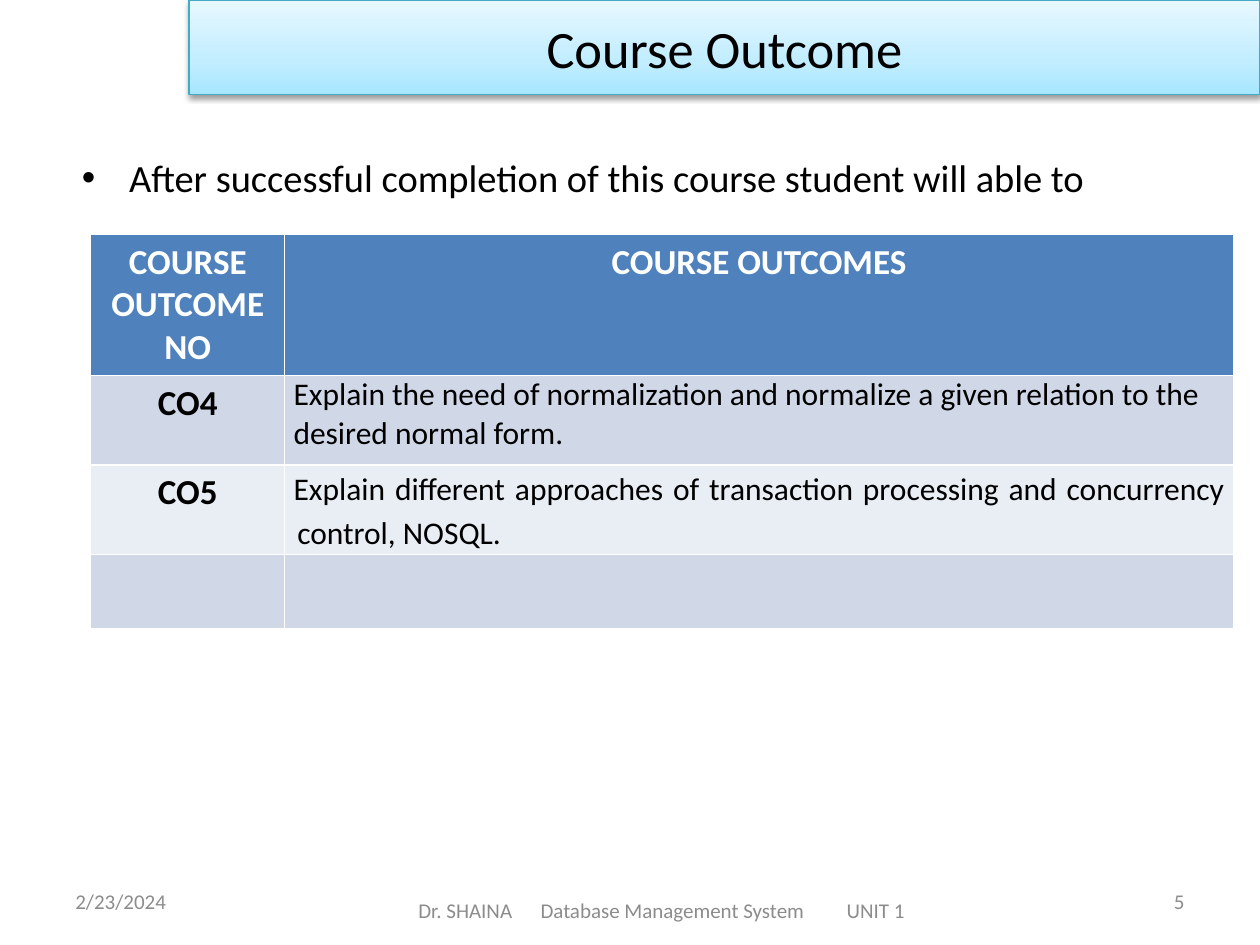
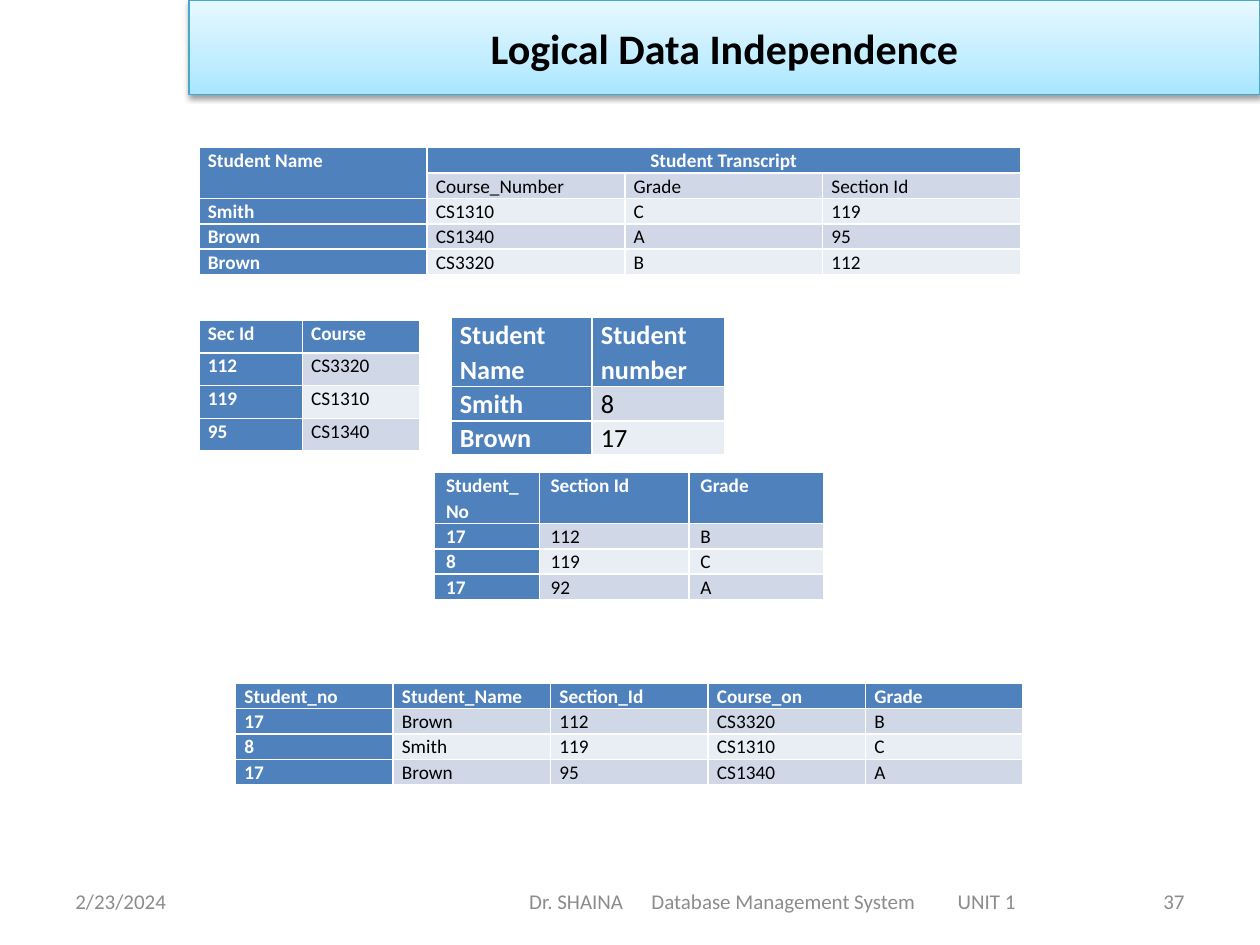
from dataclasses import dataclass

from lxml import etree
from pptx import Presentation
from pptx.dml.color import RGBColor
from pptx.enum import text
from pptx.oxml import parse_xml
from pptx.oxml.ns import nsdecls, qn
from pptx.util import Inches, Pt

ALIGN = text.PP_ALIGN


@dataclass(frozen=True)
class Theme:
    font: str = "Calibri"
    ink: str = "000000"
    white: str = "FFFFFF"
    muted: str = "8C8C8C"
    header: str = "4F81BD"
    bands: tuple = ("E9EDF4", "D0D8E8")
    title_stops: tuple = ((0, "A7E6FF"), (35, "C1EDFF"), (100, "E7F8FF"))
    title_line: str = "46AAC5"
    title_size: int = 30
    title_small: int = 24
    body_size: int = 22
    outcome_head: int = 20
    outcome_text: int = 18
    data_size: int = 11
    data_large: int = 15
    footer_size: int = 12


THEME = Theme()
TITLE_BOX = (1.5, 0, 8.5, 0.75)
FOOTER_PARTS = ("Dr. SHAINA", "Database Management System", "UNIT 1")
FOOTER_TABS = (0.97, 3.4)
FOOTER_TEXT_WIDTH = 3.86


def place(shape, box):
    shape.left, shape.top, shape.width, shape.height = map(Inches, box)


def format_runs(paragraph, size, color, bold=False):
    for span in paragraph.runs:
        span.font.name = THEME.font
        span.font.size = Pt(size)
        span.font.bold = bold
        span.font.color.rgb = RGBColor.from_string(color)


# Title band
def fill_title(page, wording, size, bold=False):
    title = page.shapes.title
    place(title, TITLE_BOX)
    title.line.color.rgb = RGBColor.from_string(THEME.title_line)
    title.line.width = Pt(0.75)
    stops = "".join(
        f'<a:gs pos="{position * 1000}"><a:srgbClr val="{color}"/></a:gs>'
        for position, color in THEME.title_stops)
    outline = title._element.spPr.find(qn("a:ln"))
    outline.addprevious(parse_xml(
        f'<a:gradFill {nsdecls("a")} rotWithShape="1"><a:gsLst>{stops}</a:gsLst>'
        '<a:lin ang="16200000" scaled="0"/></a:gradFill>'))
    outline.addnext(parse_xml(
        f'<a:effectLst {nsdecls("a")}><a:outerShdw blurRad="40000" dist="20000" '
        'dir="5400000" rotWithShape="0"><a:srgbClr val="000000">'
        '<a:alpha val="38000"/></a:srgbClr></a:outerShdw></a:effectLst>'))
    frame = title.text_frame
    frame.text = wording
    frame.auto_size = text.MSO_AUTO_SIZE.NONE
    frame.vertical_anchor = text.MSO_ANCHOR.MIDDLE
    frame.paragraphs[0].alignment = ALIGN.CENTER
    format_runs(frame.paragraphs[0], size, THEME.ink, bold)


# Footer: date, course line and page number
def add_footer_text(page, box, wording, alignment=ALIGN.LEFT):
    note = page.shapes.add_textbox(*map(Inches, box))
    frame = note.text_frame
    frame.word_wrap = True
    frame.vertical_anchor = text.MSO_ANCHOR.MIDDLE
    frame.text = wording
    frame.paragraphs[0].alignment = alignment
    format_runs(frame.paragraphs[0], THEME.footer_size, THEME.muted)
    return frame


def add_footer(page, number, course_box):
    add_footer_text(page, (0.5, 6.95, 2.33, 0.4), "2/23/2024")
    add_footer_text(page, (7.17, 6.95, 2.33, 0.4), number, ALIGN.RIGHT)
    course = add_footer_text(page, course_box, "\t".join(FOOTER_PARTS))
    course.margin_left = Inches((course_box[2] - FOOTER_TEXT_WIDTH) / 2)
    properties = course.paragraphs[0]._p.get_or_add_pPr()
    tabs = etree.SubElement(properties, qn("a:tabLst"))
    for position in FOOTER_TABS:
        etree.SubElement(tabs, qn("a:tab"), pos=str(Inches(position)), algn="l")


# Tables
def add_grid(page, corner, widths, heights, rows, first_column=True):
    """Add a banded table; None marks a cell covered by a merge."""
    frame = page.shapes.add_table(
        len(rows), len(widths), *map(Inches, (*corner, sum(widths), sum(heights))))
    table = frame.table
    table.first_col = first_column
    for column, width in zip(table.columns, widths):
        column.width = Inches(width)
    for row, height in zip(table.rows, heights):
        row.height = Inches(height)
    for row_index, values in enumerate(rows):
        for column_index, value in enumerate(values):
            cell = table.cell(row_index, column_index)
            is_header = row_index == 0 or (first_column and column_index == 0)
            color = THEME.header if is_header else THEME.bands[row_index % 2]
            cell.fill.solid()
            cell.fill.fore_color.rgb = RGBColor.from_string(color)
            if value:
                cell.text_frame.text = value
    return table


def tighten(cell, side=0.07):
    cell.margin_left = cell.margin_right = Inches(side)
    cell.margin_top = cell.margin_bottom = 0


def add_data_table(page, corner, widths, heights, rows, size=THEME.data_size, side=0.07):
    table = add_grid(page, corner, widths, heights, rows)
    for row_index, row in enumerate(table.rows):
        for column_index, cell in enumerate(row.cells):
            tighten(cell, side)
            paragraph = cell.text_frame.paragraphs[0]
            paragraph.line_spacing = 1.07
            paragraph.space_after = Pt(8)
            is_header = row_index == 0 or column_index == 0
            format_runs(paragraph, size, THEME.white if is_header else THEME.ink, is_header)
    return table


def add_outcome_table(page, corner):
    rows = (
        ("COURSE OUTCOME NO", "COURSE OUTCOMES"),
        ("CO4", "Explain the need of normalization and normalize a given relation "
                "to the desired normal form."),
        ("CO5", "Explain different approaches of transaction processing and "
                "concurrency control, NOSQL."),
        (None, None),
    )
    table = add_grid(page, corner, (1.54, 7.53), (1.11, 0.71, 0.71, 0.59), rows,
                     first_column=False)
    for row_index, row in enumerate(table.rows):
        for column_index, cell in enumerate(row.cells):
            paragraph = cell.text_frame.paragraphs[0]
            if row_index == 0 or column_index == 0:
                paragraph.alignment = ALIGN.CENTER
                color = THEME.ink if row_index else THEME.white
                format_runs(paragraph, THEME.outcome_head, color, True)
            elif rows[row_index][column_index]:
                tighten(cell)
                format_runs(paragraph, THEME.outcome_text, THEME.ink)
    # The last outcome is justified with a small hanging indent
    paragraph = table.cell(2, 1).text_frame.paragraphs[0]
    paragraph.alignment = ALIGN.JUSTIFY
    paragraph.line_spacing = 1.15
    properties = paragraph._p.get_or_add_pPr()
    properties.set("marL", str(Inches(0.03)))
    properties.set("indent", str(Inches(-0.3)))


# Slides
def build_outcome_page(deck):
    page = deck.slides.add_slide(deck.slide_layouts.get_by_name("Title and Content"))
    fill_title(page, "Course Outcome", THEME.title_size)
    body = page.placeholders[1]
    place(body, (0.55, 1.17, 9, 0.47))
    frame = body.text_frame
    frame.auto_size = text.MSO_AUTO_SIZE.NONE
    frame.text = "After successful completion of this course student will able to"
    frame.paragraphs[0].alignment = ALIGN.JUSTIFY
    format_runs(frame.paragraphs[0], THEME.body_size, THEME.ink)
    add_outcome_table(page, (0.72, 1.86))
    add_footer(page, "5", (2.5, 7.02, 5.5, 0.4))


def build_independence_page(deck):
    page = deck.slides.add_slide(deck.slide_layouts.get_by_name("Title Only"))
    fill_title(page, "Logical Data Independence", THEME.title_small, bold=True)

    # Transcript with a two-level heading
    transcript = add_data_table(page, (1.58, 1.17), (1.81,) + (1.57,) * 3, (0.2,) * 5, (
        ("Student Name", "Student Transcript", None, None),
        (None, "Course_Number", "Grade", "Section Id"),
        ("Smith", "CS1310", "C", "119"),
        ("Brown", "CS1340", "A", "95"),
        ("Brown", "CS3320", "B", "112"),
    ))
    transcript.cell(0, 0).merge(transcript.cell(1, 0))
    transcript.cell(0, 1).merge(transcript.cell(0, 3))
    transcript.cell(0, 1).text_frame.paragraphs[0].alignment = ALIGN.CENTER

    # Sections, students and grades
    add_data_table(page, (1.58, 2.54), (0.82, 0.93), (0.26,) * 4, (
        ("Sec Id", "Course"),
        ("112", "CS3320"),
        ("119", "CS1310"),
        ("95", "CS1340"),
    ))
    add_data_table(page, (3.58, 2.52), (1.12, 1.05), (0.54, 0.26, 0.26), (
        ("Student Name", "Student number"),
        ("Smith", "8"),
        ("Brown", "17"),
    ), size=THEME.data_large)
    add_data_table(page, (3.45, 3.75), (0.83, 1.19, 1.07), (0.4, 0.2, 0.2, 0.2), (
        ("Student_No", "Section Id", "Grade"),
        ("17", "112", "B"),
        ("8", "119", "C"),
        ("17", "92", "A"),
    ), side=0.09)

    # Combined view
    add_data_table(page, (1.87, 5.42), (1.25,) * 5, (0.2,) * 4, (
        ("Student_no", "Student_Name", "Section_Id", "Course_on", "Grade"),
        ("17", "Brown", "112", "CS3320", "B"),
        ("8", "Smith", "119", "CS1310", "C"),
        ("17", "Brown", "95", "CS1340", "A"),
    ))
    add_footer(page, "37", (3.42, 6.95, 5.42, 0.4))


def main():
    deck = Presentation()
    deck.slide_width, deck.slide_height = Inches(10), Inches(7.5)
    build_outcome_page(deck)
    build_independence_page(deck)
    deck.save("out.pptx")


if __name__ == "__main__":
    main()
